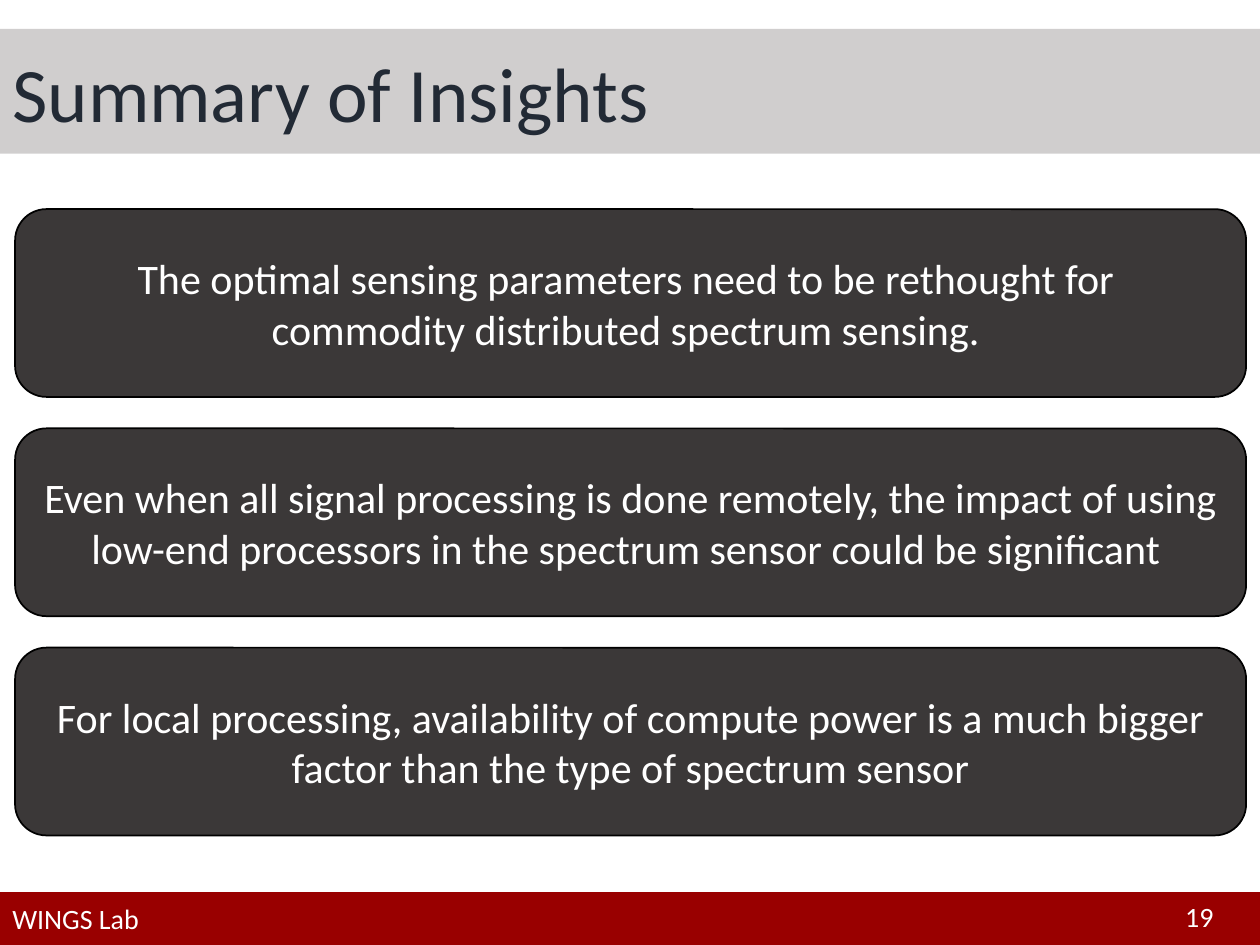
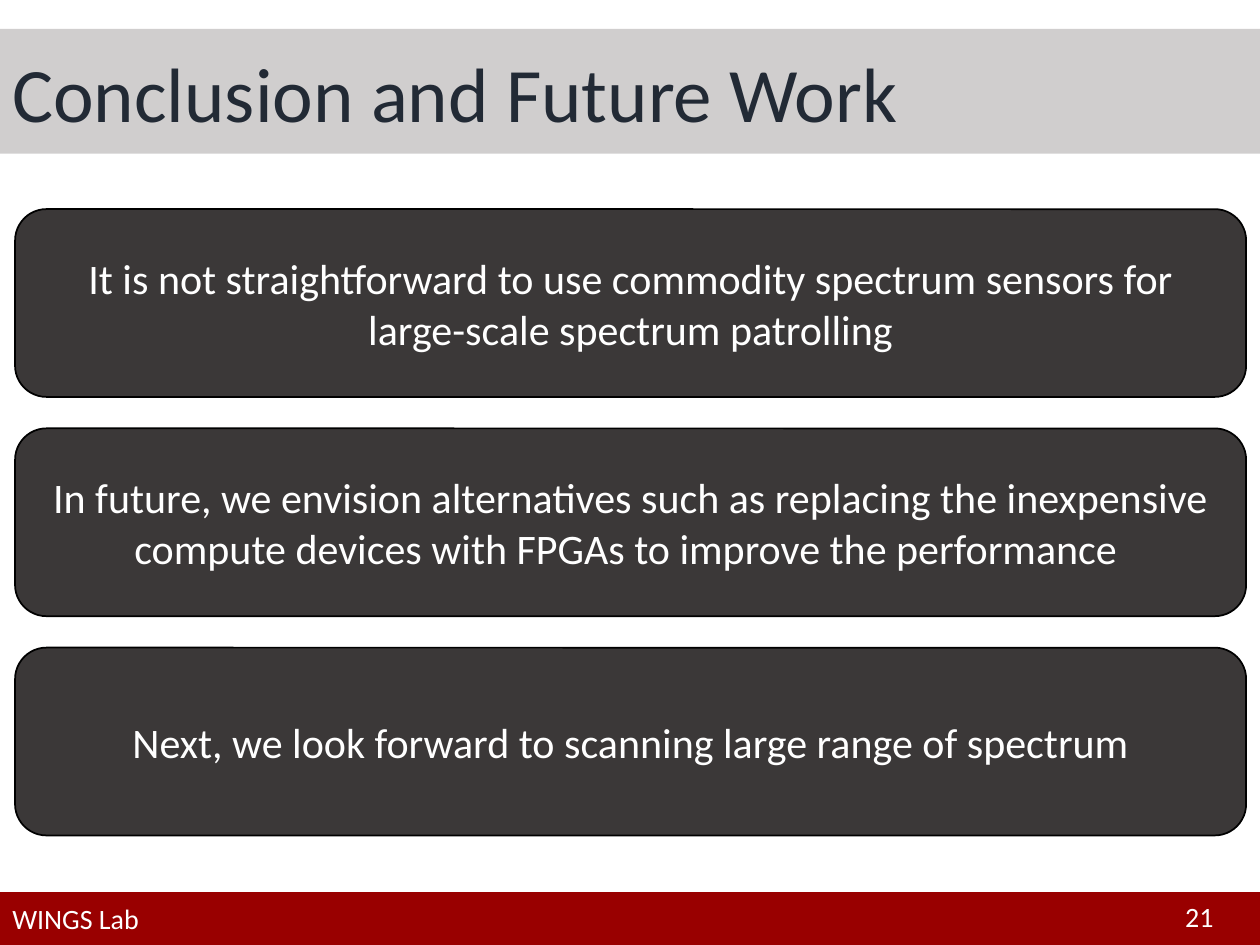
import pptx
import pptx.util
import pptx.dml.color
import pptx.enum.shapes
import pptx.enum.text

Inches = pptx.util.Inches
Pt = pptx.util.Pt
RGBColor = pptx.dml.color.RGBColor
SHAPE = pptx.enum.shapes.MSO_SHAPE
ALIGN = pptx.enum.text.PP_ALIGN
MIDDLE = pptx.enum.text.MSO_ANCHOR.MIDDLE

# Shared look
FONT = "Calibri"
WHITE = RGBColor(0xFF, 0xFF, 0xFF)
BLACK = RGBColor(0x00, 0x00, 0x00)
FOOTER_RED = RGBColor(0x99, 0x00, 0x00)
TITLE_GREY = RGBColor(0xD0, 0xCE, 0xCE)
TITLE_NAVY = RGBColor(0x22, 0x2A, 0x35)
CARD_GREY = RGBColor(0x3B, 0x38, 0x38)

SLIDE_WIDTH, SLIDE_HEIGHT = 10, 7.5
LAB_NAME = "WINGS Lab"

# Stack of statement cards
CARD_LEFT, CARD_TOP = 0.12, 1.66
CARD_WIDTH, CARD_HEIGHT = 9.77, 1.49
CARD_GAP = 0.25

# Title, page number, statements; a line feed starts a new paragraph
SLIDES = [
    ("Summary of Insights", 19, [
        "The optimal sensing parameters need to be rethought for \n"
        "commodity distributed spectrum sensing. ",
        "Even when all signal processing is done remotely, the impact of using "
        "low-end processors in the spectrum sensor could be significant ",
        "For local processing, availability of compute power is a much bigger "
        "factor than the type of spectrum sensor",
    ]),
    ("Conclusion and Future Work", 21, [
        "It is not straightforward to use commodity spectrum sensors for "
        "large-scale spectrum patrolling",
        "In future, we envision alternatives such as replacing the inexpensive "
        "compute devices with FPGAs to improve the performance ",
        "Next, we look forward to scanning large range of spectrum",
    ]),
]


def write_text(holder, text, size, color, align):
    frame = holder.text_frame
    frame.word_wrap = True
    frame.vertical_anchor = MIDDLE
    frame.text = text
    for paragraph in frame.paragraphs:
        paragraph.alignment = align
        for run in paragraph.runs:
            run.font.name = FONT
            run.font.size = Pt(size)
            run.font.color.rgb = color


def add_panel(slide, preset, left, top, width, height, fill):
    panel = slide.shapes.add_shape(
        preset, Inches(left), Inches(top), Inches(width), Inches(height))
    panel.shadow.inherit = False
    panel.fill.solid()
    panel.fill.fore_color.rgb = fill
    panel.line.fill.background()
    return panel


def add_band(slide, top, height, fill, text, size, color):
    band = add_panel(slide, SHAPE.RECTANGLE, 0, top, SLIDE_WIDTH, height, fill)
    write_text(band, text, size, color, ALIGN.LEFT)


def add_footer(slide, page):
    add_band(slide, 7.08, 0.42, FOOTER_RED, LAB_NAME, 16, WHITE)
    page_number = slide.shapes.add_textbox(
        Inches(7.4), Inches(7.07), Inches(2.33), Inches(0.4))
    write_text(page_number, str(page), 16, WHITE, ALIGN.RIGHT)


def add_card(slide, position, statement):
    top = CARD_TOP + position * (CARD_HEIGHT + CARD_GAP)
    card = add_panel(slide, SHAPE.ROUNDED_RECTANGLE,
                     CARD_LEFT, top, CARD_WIDTH, CARD_HEIGHT, CARD_GREY)
    card.line.color.rgb = BLACK
    card.line.width = Pt(1)
    write_text(card, statement, 24, WHITE, ALIGN.CENTER)


def main():
    deck = pptx.Presentation()
    deck.slide_width = Inches(SLIDE_WIDTH)
    deck.slide_height = Inches(SLIDE_HEIGHT)
    blank = deck.slide_layouts[6]

    for title, page, statements in SLIDES:
        slide = deck.slides.add_slide(blank)
        add_footer(slide, page)
        add_band(slide, 0.23, 0.99, TITLE_GREY, title, 44, TITLE_NAVY)
        for position, statement in enumerate(statements):
            add_card(slide, position, statement)

    deck.save("out.pptx")


if __name__ == "__main__":
    main()
